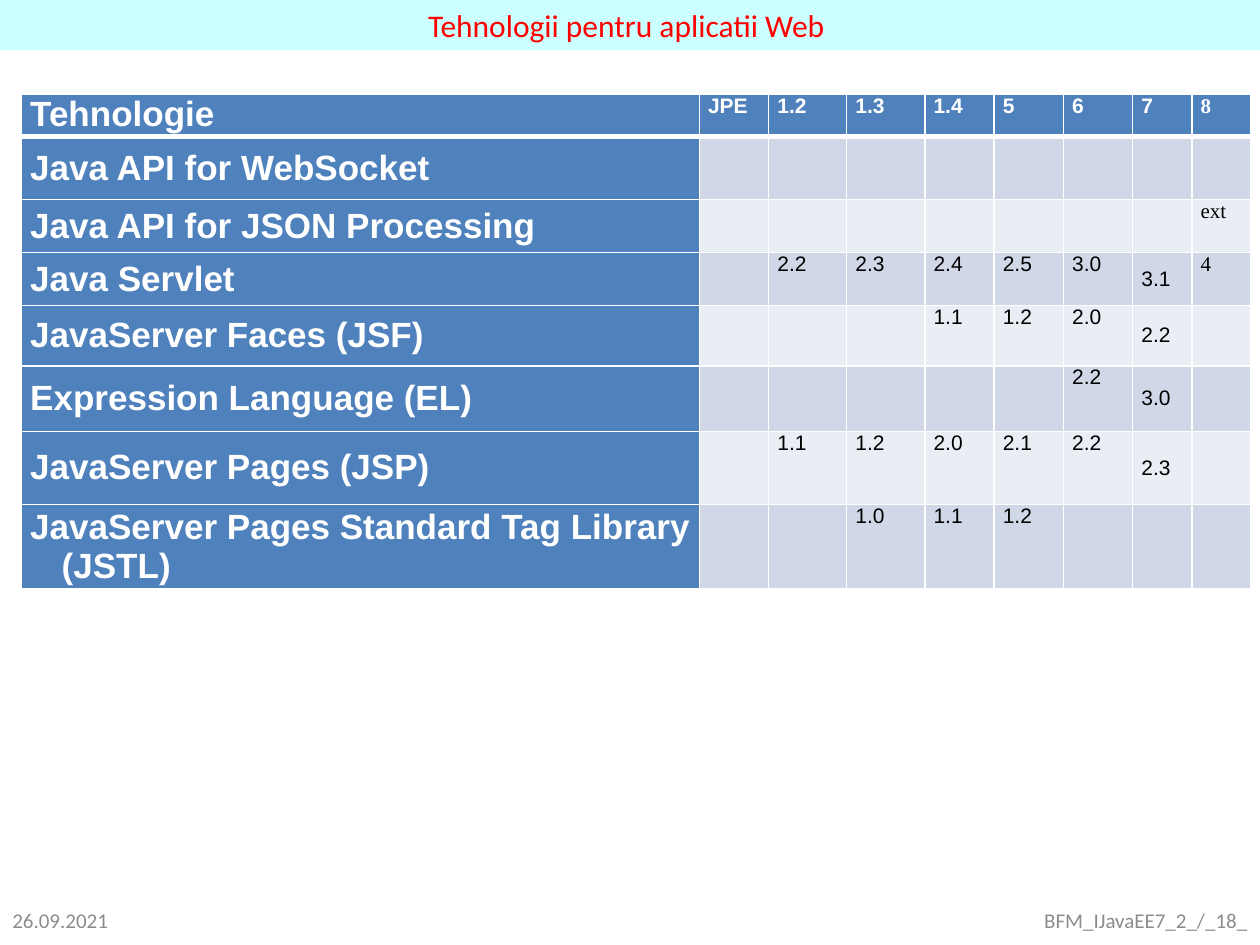
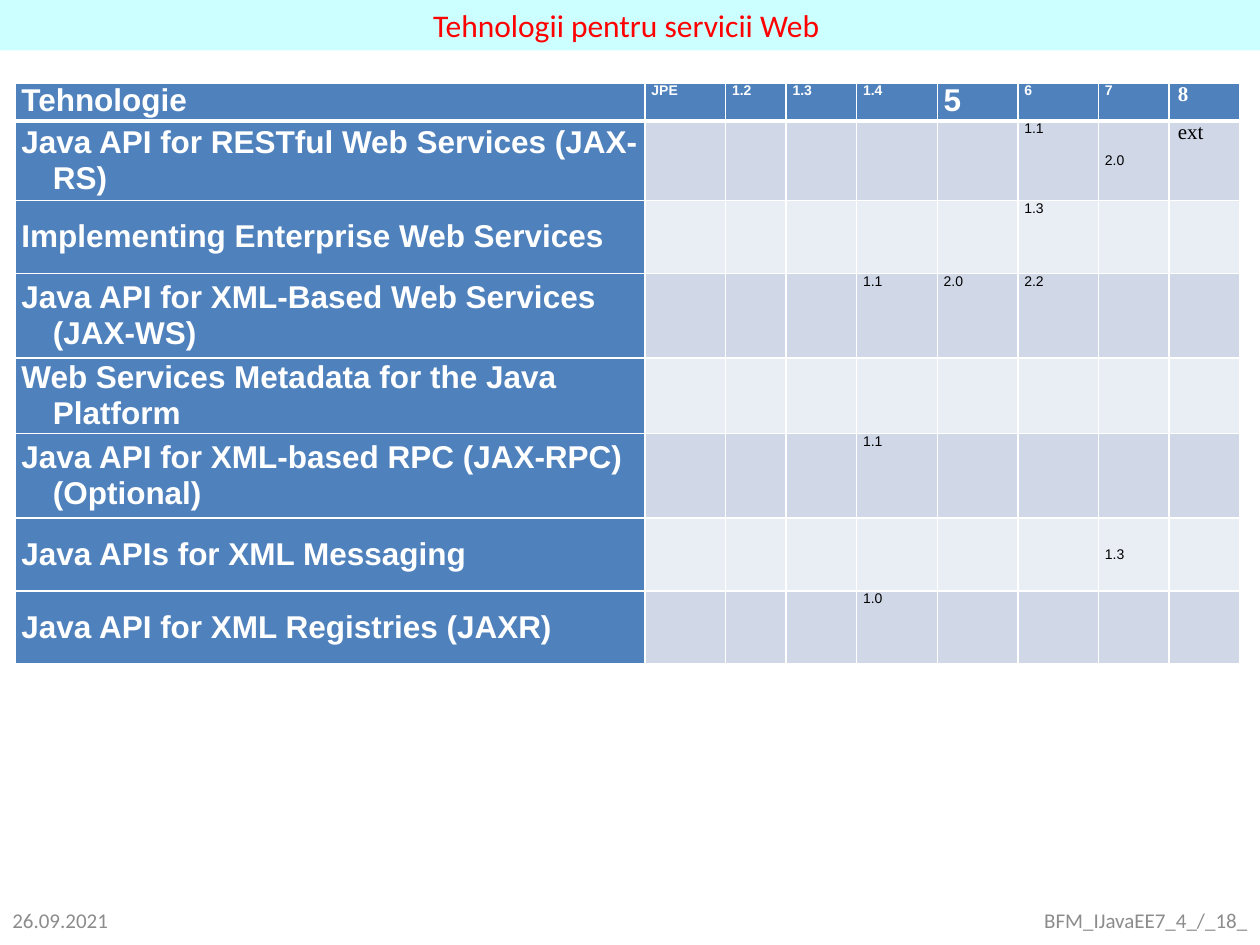
from lxml import etree
from pptx import Presentation
from pptx.dml.color import RGBColor
from pptx.enum.text import MSO_ANCHOR, MSO_AUTO_SIZE, PP_ALIGN
from pptx.oxml.ns import qn
from pptx.util import Inches, Pt

TOP, MIDDLE = MSO_ANCHOR.TOP, MSO_ANCHOR.MIDDLE
LEFT, CENTER, RIGHT = PP_ALIGN.LEFT, PP_ALIGN.CENTER, PP_ALIGN.RIGHT
FIXED = MSO_AUTO_SIZE.NONE

WHITE = RGBColor(0xFF, 0xFF, 0xFF)
BLACK = RGBColor(0x00, 0x00, 0x00)
RED = RGBColor(0xFF, 0x00, 0x00)
GRAY = RGBColor(0x8C, 0x8C, 0x8C)
CYAN = RGBColor(0xCC, 0xFF, 0xFF)
BLUE = RGBColor(0x4F, 0x81, 0xBD)
BANDS = RGBColor(0xE9, 0xED, 0xF4), RGBColor(0xD0, 0xD8, 0xE8)

SANS, SERIF, LABEL = "Arial", "Times New Roman", "Calibri"
HEADS = ["Tehnologie", "JPE", "1.2", "1.3", "1.4", "5", "6", "7", "8"]
LAST = len(HEADS) - 1

WEB_APPS = [
    ("Java API for WebSocket", 0.5, {}),
    ("Java API for JSON Processing", 0.42, {"8": "ext"}),
    ("Java Servlet", 0.42, {"1.2": "2.2", "1.3": "2.3", "1.4": "2.4", "5": "2.5",
                            "6": "3.0", "7": "3.1", "8": "4"}),
    ("JavaServer Faces (JSF)", 0.48, {"1.4": "1.1", "5": "1.2", "6": "2.0", "7": "2.2"}),
    ("Expression Language (EL)", 0.52, {"6": "2.2", "7": "3.0"}),
    ("JavaServer Pages (JSP)", 0.58, {"1.2": "1.1", "1.3": "1.2", "1.4": "2.0",
                                      "5": "2.1", "6": "2.2", "7": "2.3"}),
    ("JavaServer Pages Standard Tag Library (JSTL)", 0.67,
     {"1.3": "1.0", "1.4": "1.1", "5": "1.2"}),
]
SERVICES = [
    ("Java API for RESTful Web Services (JAX-RS)", 0.63,
     {"6": "1.1", "7": "2.0", "8": "ext"}),
    ("Implementing Enterprise Web Services", 0.58, {"6": "1.3"}),
    ("Java API for XML-Based Web Services (JAX-WS)", 0.67,
     {"1.4": "1.1", "5": "2.0", "6": "2.2"}),
    ("Web Services Metadata for the Java Platform", 0.58, {}),
    ("Java API for XML-based RPC (JAX-RPC) (Optional)", 0.67, {"1.4": "1.1"}),
    ("Java APIs for XML Messaging", 0.58, {"7": "1.3"}),
    ("Java API for XML Registries (JAXR)", 0.58, {"1.4": "1.0"}),
]


class Deck:
    """Holds the shared style and the current slide."""

    def __init__(self):
        self.prs = Presentation()
        self.prs.slide_width, self.prs.slide_height = Inches(10), Inches(7.5)

    def start(self, title, number):
        """Add a slide with its title band and footers."""
        self.slide = self.prs.slides.add_slide(self.prs.slide_layouts[5])
        band = self.slide.shapes.title
        band.left, band.top = Inches(0), Inches(0)
        band.width, band.height = Inches(10), Inches(0.4)
        band.fill.solid()
        band.fill.fore_color.rgb = CYAN
        frame = band.text_frame
        frame.auto_size = FIXED
        frame.vertical_anchor = TOP
        self.label(frame, title, 18, RED, LABEL, align=CENTER)
        self.footer("26.09.2021", 0, 1, LEFT)
        self.footer(f"BFM_IJavaEE7_{number}_/_18_", 7.5, 2.5, RIGHT)

    def label(self, frame, text, size, color, font, bold=False, align=LEFT):
        """Fill a text frame with one styled paragraph."""
        frame.text = text
        par = frame.paragraphs[0]
        par.alignment = align
        par.font.size, par.font.name, par.font.bold = Pt(size), font, bold
        par.font.color.rgb = color
        return par

    def footer(self, text, left, width, align):
        """Add a small gray label at the foot of the slide."""
        box = self.slide.shapes.add_textbox(Inches(left), Inches(7.1), Inches(width), Inches(0.4))
        frame = box.text_frame
        frame.word_wrap = True
        frame.vertical_anchor = MIDDLE
        self.label(frame, text, 12, GRAY, LABEL, align=align)

    def border(self, cell, row):
        """Draw white cell borders, thick below the header."""
        props = cell._tc.get_or_add_tcPr()
        thick = {0: "lnB", 1: "lnT"}.get(row)
        for side in ("lnL", "lnR", "lnT", "lnB"):
            width = Pt(3 if side == thick else 1)
            line = etree.SubElement(props, qn(f"a:{side}"), w=str(width))
            fill = etree.SubElement(line, qn("a:solidFill"))
            etree.SubElement(fill, qn("a:srgbClr"), val=str(WHITE))

    def cell(self, cell, row, col, text, size, inset):
        """Style one table cell and set its text."""
        head = row == 0 or col == 0
        self.border(cell, row)
        cell.fill.solid()
        cell.fill.fore_color.rgb = BLUE if head else BANDS[row % 2]
        cell.margin_left = cell.margin_right = Inches(inset)
        cell.margin_top = cell.margin_bottom = Inches(0)
        cell.vertical_anchor = MIDDLE if row and col in (0, LAST - 1) else TOP
        if text:
            par = self.label(cell.text_frame, text, size, WHITE if head else BLACK,
                             SERIF if col == LAST else SANS, head)
            props = par._p.get_or_add_pPr()
            props.set("marL", str(Inches(0.25)))
            props.set("indent", str(-Inches(0.25)))

    def table(self, left, top, widths, first, rows, big, small, inset, large=()):
        """Add a table of technologies by platform version."""
        heights = [first] + [height for _, height, _ in rows]
        grid = [HEADS] + [[name] + [found.get(head, "") for head in HEADS[1:]]
                          for name, _, found in rows]
        table = self.slide.shapes.add_table(
            len(grid), len(HEADS), Inches(left), Inches(top),
            Inches(sum(widths)), Inches(sum(heights))).table
        for column, width in zip(table.columns, widths):
            column.width = Inches(width)
        for row, (line, height) in enumerate(zip(grid, heights)):
            table.rows[row].height = Inches(height)
            for col, text in enumerate(line):
                size = big if col == 0 or (row, col) in large else small
                if col == LAST:
                    self.cell(table.cell(row, col), row, col, text, 12, 0.07)
                else:
                    self.cell(table.cell(row, col), row, col, text, size, inset)


def main():
    """Build both slides and save them."""
    deck = Deck()
    deck.start("Tehnologii pentru aplicatii Web ", 2)
    deck.table(0.17, 0.75, [5.38, 0.55, 0.62, 0.62, 0.55, 0.55, 0.55, 0.47, 0.47],
               0.27, WEB_APPS, 20, 12, 0.07)
    deck.start("Tehnologii pentru servicii Web ", 4)
    deck.table(0.12, 0.66, [5, 0.64, 0.48, 0.56, 0.64, 0.64, 0.64, 0.56, 0.56],
               0.3, SERVICES, 18, 8, 0.05, large=[(0, HEADS.index("5"))])
    deck.prs.save("out.pptx")


if __name__ == "__main__":
    main()
